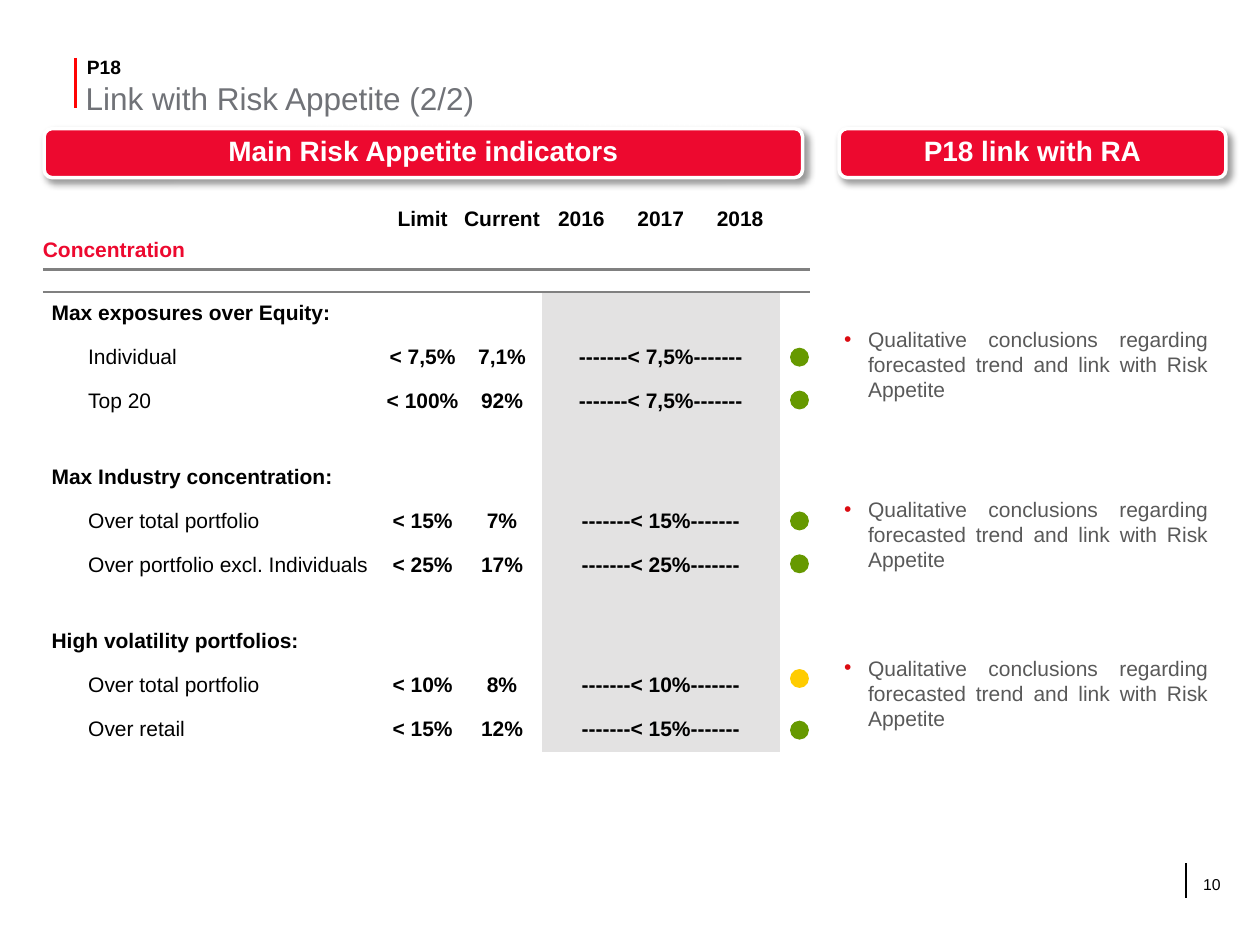
from lxml import etree
from pptx import Presentation
from pptx.dml.color import RGBColor
from pptx.enum.shapes import MSO_CONNECTOR, MSO_SHAPE
from pptx.enum.text import MSO_ANCHOR, MSO_AUTO_SIZE, PP_ALIGN
from pptx.oxml.ns import qn
from pptx.util import Inches, Pt

LEFT, CENTER, JUSTIFY = PP_ALIGN.LEFT, PP_ALIGN.CENTER, PP_ALIGN.JUSTIFY
TOP, MIDDLE = MSO_ANCHOR.TOP, MSO_ANCHOR.MIDDLE
BLACK = RGBColor(0x00, 0x00, 0x00)
WHITE = RGBColor(0xFF, 0xFF, 0xFF)
RED = RGBColor(0xED, 0x09, 0x2F)
RULE_RED = RGBColor(0xFF, 0x03, 0x03)
BULLET_RED = RGBColor(0xDB, 0x0B, 0x11)
TITLE_GRAY = RGBColor(0x70, 0x72, 0x77)
TEXT_GRAY = RGBColor(0x59, 0x59, 0x59)
LINE_GRAY = RGBColor(0x80, 0x80, 0x80)
BAND_GRAY = RGBColor(0xE3, 0xE2, 0xE2)
GREEN = RGBColor(0x66, 0x99, 0x00)
YELLOW = RGBColor(0xFF, 0xCC, 0x00)
NO_STYLE = "{2D5ABB26-0587-4C30-8999-92F81FD0307C}"


def add(parent, tag, **attrs):
    """Append a drawing element with the given attributes."""
    el = etree.SubElement(parent, qn(tag))
    for key, value in attrs.items():
        el.set(key, str(value))
    return el


def write(tf, text, size, color, bold=False, align=LEFT, anchor=TOP,
          margins=(0, 0, 0, 0), spacing=None):
    """Fill a text frame with one formatted paragraph."""
    sides = ("margin_left", "margin_top", "margin_right", "margin_bottom")
    frame = dict(zip(sides, map(Inches, margins)), word_wrap=True,
                 vertical_anchor=anchor, auto_size=MSO_AUTO_SIZE.NONE)
    for name, value in frame.items():
        setattr(tf, name, value)
    p = tf.paragraphs[0]
    p.alignment = align
    if spacing:
        p.line_spacing = spacing
    r = p.add_run()
    r.text = text
    for name, value in {"name": "Arial", "size": Pt(size), "bold": bold}.items():
        setattr(r.font, name, value)
    r.font.color.rgb = color
    return p


prs = Presentation()
prs.slide_width, prs.slide_height = Inches(10), Inches(7.5)
s = prs.slides.add_slide(prs.slide_layouts[5])

# Rules beside the title and the page number
for x, y1, y2, color, width in ((0.6, 0.46, 0.86, RULE_RED, 1.5),
                                (9.41, 6.85, 7.13, BLACK, 1)):
    line = s.shapes.add_connector(MSO_CONNECTOR.STRAIGHT, Inches(x), Inches(y1),
                                  Inches(x), Inches(y2))
    line.line.color.rgb = color
    line.line.width = Pt(width)
    add(line._element.spPr, "a:effectLst")

# Title, section label and page number
title = s.shapes.title
for name, value in {"left": 0.68, "top": 0.6, "width": 7.35, "height": 0.36}.items():
    setattr(title, name, Inches(value))
write(title.text_frame, "Link with Risk Appetite (2/2)", 18, TITLE_GRAY, anchor=MIDDLE)
sp = s.shapes.add_textbox(Inches(0.69), Inches(0.42), Inches(5.06), Inches(0.22))
write(sp.text_frame, "P18", 11, BLACK, bold=True, anchor=MIDDLE)
sp = s.shapes.add_textbox(Inches(9.45), Inches(6.89), Inches(0.42), Inches(0.4))
write(sp.text_frame, "10", 9, BLACK, margins=(0.1, 0.05, 0.1, 0.05))

# Red banners over the two columns
for x, w, text in ((0.35, 6.02, "Main Risk Appetite indicators"),
                   (6.66, 3.07, "P18 link with RA")):
    sp = s.shapes.add_shape(MSO_SHAPE.ROUNDED_RECTANGLE, Inches(x), Inches(1.02),
                            Inches(w), Inches(0.39))
    sp.fill.solid()
    sp.fill.fore_color.rgb = RED
    sp.line.color.rgb = WHITE
    sp.line.width = Pt(2)
    shadow = add(add(sp._element.spPr, "a:effectLst"), "a:outerShdw", blurRad=Pt(4),
                 dist=Pt(3), dir=45 * 60000, algn="tl", rotWithShape=0)
    add(add(shadow, "a:srgbClr", val=BLACK), "a:alpha", val=40000)
    write(sp.text_frame, text, 16, WHITE, bold=True, align=CENTER, anchor=MIDDLE,
          margins=(0.04, 0.05, 0.04, 0.05), spacing=Pt(16))

# Indicator table: heading rows, then three groups split by narrow rows
groups = (
    ("Max exposures over Equity:",
     ("Individual", "< 7,5%", "7,1%", "< 7,5%"),
     ("Top 20", "< 100%", "92%", "< 7,5%")),
    ("Max Industry concentration:",
     ("Over total portfolio", "< 15%", "7%", "< 15%"),
     ("Over portfolio excl. Individuals", "< 25%", "17%", "< 25%")),
    ("High volatility portfolios:",
     ("Over total portfolio", "< 10%", "8%", "< 10%"),
     ("Over retail", "< 15%", "12%", "< 15%")),
)
col_widths = [0.07, 2.56, 0.07] + [0.63] * 5 + [0.24]
group_rows = [0.35] * 3
row_heights = [0.18, 0.3, 0.18] + (group_rows + [0.25]) * 2 + group_rows
frame = s.shapes.add_table(len(row_heights), len(col_widths), Inches(0.34), Inches(1.66),
                           Inches(sum(col_widths)), Inches(sum(row_heights)))
table = frame.table
table.first_row = table.horz_banding = False
table._tbl.tblPr.find(qn("a:tableStyleId")).text = NO_STYLE
for col, w in zip(table.columns, col_widths):
    col.width = Inches(w)
for row, h in zip(table.rows, row_heights):
    row.height = Inches(h)

# Cell text, with a dashed forecast across the three years
texts = {(0, c): name for c, name in
         enumerate(("Limit", "Current", "2016", "2017", "2018"), start=3)}
texts[1, 0] = "Concentration"
for row in (1, 2):
    table.cell(row, 0).merge(table.cell(row, 1))
for g, (heading, *items) in enumerate(groups):
    top = 3 + 4 * g
    texts[top, 1] = heading
    for row, (label, limit, current, forecast) in enumerate(items, start=top + 1):
        texts.update({(row, 1): label, (row, 3): limit, (row, 4): current,
                      (row, 5): f"-------{forecast}-------"})
        table.cell(row, 5).merge(table.cell(row, 7))

for row in range(len(row_heights)):
    for c in range(len(col_widths)):
        cell = table.cell(row, c)
        cell.margin_left = cell.margin_right = cell.margin_top = cell.margin_bottom = 0
        cell.vertical_anchor = MIDDLE
        if row >= 3 and 5 <= c <= 7:
            cell.fill.solid()
            cell.fill.fore_color.rgb = BAND_GRAY
        else:
            cell.fill.background()
        if row in (1, 2):
            tcPr = cell._tc.get_or_add_tcPr()
            border = add(tcPr, "a:lnB" if row == 1 else "a:lnT", w=Pt(1.5))
            add(add(border, "a:solidFill"), "a:srgbClr", val=LINE_GRAY)
            tcPr.insert(0, border)
        p = cell.text_frame.paragraphs[0]
        if (row, c) not in texts:
            p._p.get_or_add_endParaRPr().set("sz", "600")
            continue
        is_item = c == 1 and row % 4 != 3
        p.alignment = CENTER if c >= 3 else LEFT
        p.line_spacing = 0.9
        if is_item:
            p._p.get_or_add_pPr().set("marL", str(Inches(0.29)))
        r = p.add_run()
        r.text = texts[row, c]
        for name, value in {"name": "Arial", "size": Pt(12), "bold": not is_item}.items():
            setattr(r.font, name, value)
        r.font.color.rgb = RED if row == 1 else BLACK

# Status lights
for y, color in ((2.76, GREEN), (3.1, GREEN), (4.06, GREEN), (4.4, GREEN),
                 (5.31, YELLOW), (5.72, GREEN)):
    sp = s.shapes.add_shape(MSO_SHAPE.OVAL, Inches(6.27), Inches(y),
                            Inches(0.15), Inches(0.15))
    sp.shadow.inherit = False
    sp.fill.solid()
    sp.fill.fore_color.rgb = color
    sp.line.fill.background()

# Conclusions, one beside each group
for y in (2.54, 3.89, 5.15):
    sp = s.shapes.add_textbox(Inches(6.66), Inches(y), Inches(3.03), Inches(0.83))
    p = write(sp.text_frame, "Qualitative conclusions regarding forecasted trend "
              "and link with Risk Appetite", 12, TEXT_GRAY, align=JUSTIFY,
              margins=(0.04, 0.05, 0.1, 0.05))
    pPr = p._p.get_or_add_pPr()
    pPr.set("marL", str(Inches(0.19)))
    pPr.set("indent", str(-Inches(0.19)))
    add(add(pPr, "a:buClr"), "a:srgbClr", val=BULLET_RED)
    add(pPr, "a:buFont", typeface="Arial")
    add(pPr, "a:buChar", char="•")

prs.save("out.pptx")
